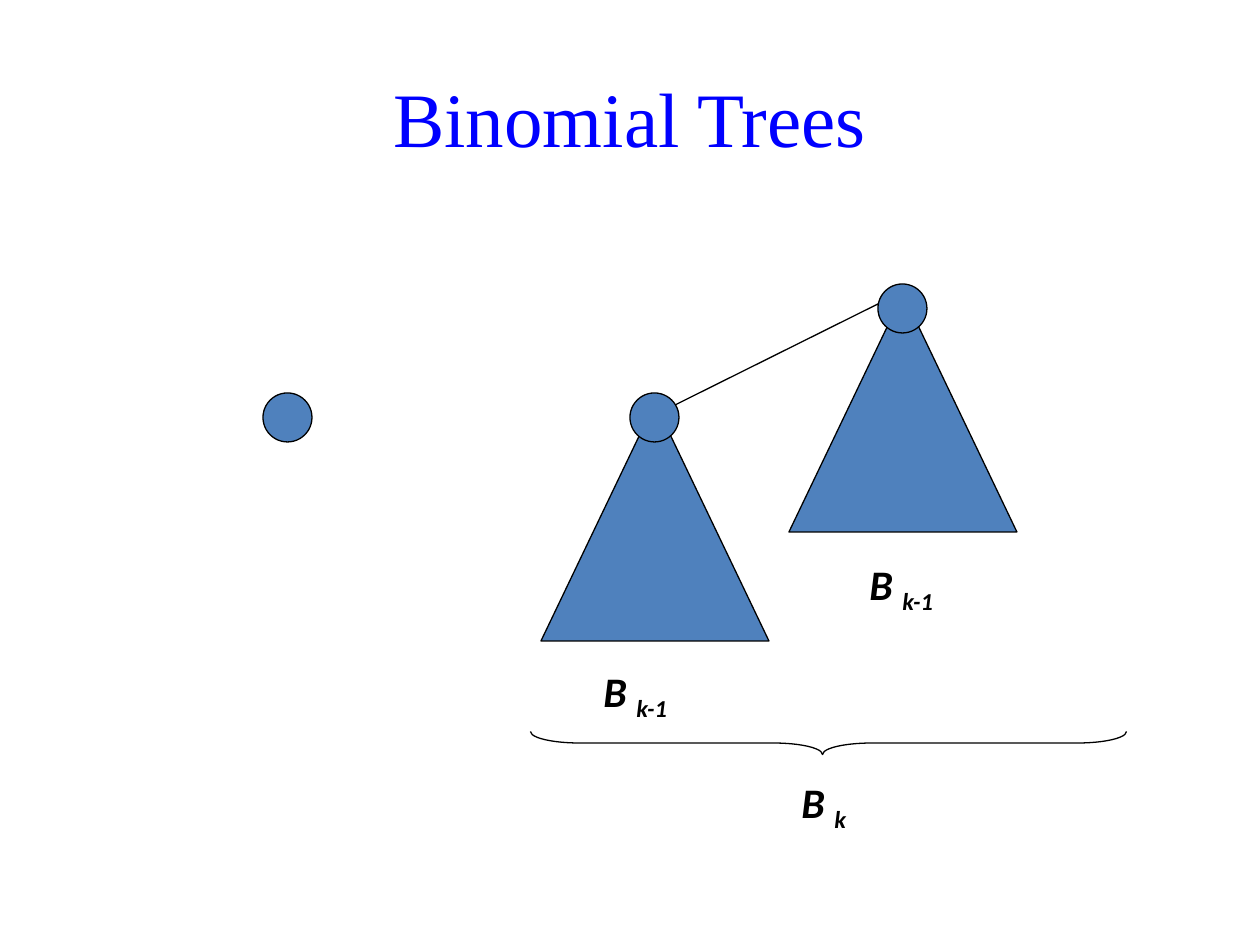
from pptx import Presentation
from pptx import util as u
from pptx.dml.color import RGBColor
from pptx.enum import shapes, text
from pptx.oxml.ns import qn
from lxml import etree

PX_PER_INCH = 126
BLUE = RGBColor(0x4F, 0x81, 0xBD)
TITLE_BLUE = RGBColor(0x00, 0x00, 0xFF)
BLACK = RGBColor(0x00, 0x00, 0x00)

NODE = 49  # node diameter
TREE_WIDTH, TREE_HEIGHT = 228, 238
NODE_DX, NODE_DY = 89, -10  # root node relative to its triangle
TREES = [(541, 403), (789, 294)]


def px(*lengths):
    return [u.Emu(round(length * 914400 / PX_PER_INCH)) for length in lengths]


def outline(item):
    item.line.color.rgb = BLACK
    item.line.width = u.Pt(0.75)


def add_shape(page, kind, box, fill=None):
    shape = page.shapes.add_shape(kind, *px(*box))
    shape.shadow.inherit = False
    if fill is None:
        shape.fill.background()
    else:
        shape.fill.solid()
        shape.fill.fore_color.rgb = fill
    outline(shape)
    return shape


def add_node(page, left, top):
    add_shape(page, shapes.MSO_SHAPE.OVAL, (left, top, NODE, NODE), BLUE)


def add_edge(page, start, end):
    edge = page.shapes.add_connector(shapes.MSO_CONNECTOR.STRAIGHT, *px(*start, *end))
    outline(edge)
    etree.SubElement(edge._element.spPr, qn("a:effectLst"))


def add_label(page, left, top, subscript):
    box = page.shapes.add_textbox(*px(left, top, 102, 64))
    box.text_frame.word_wrap = True
    para = box.text_frame.paragraphs[0]
    for words in ("B ", subscript):
        span = para.add_run()
        span.text = words
        span.font.name = "Calibri"
        span.font.size = u.Pt(24)
        span.font.bold = span.font.italic = True
        span.font.color.rgb = BLACK
    span.font._element.set("baseline", "-25000")


def set_title(page, words):
    title = page.shapes.title
    title.left, title.top, title.width, title.height = px(63, 38, 1134, 157)
    title.text_frame.text = words
    title.text_frame.vertical_anchor = text.MSO_ANCHOR.MIDDLE
    para = title.text_frame.paragraphs[0]
    para.alignment = text.PP_ALIGN.CENTER
    font = para.runs[0].font
    font.name = "Times New Roman"
    font.size = u.Pt(44)
    font.color.rgb = TITLE_BLUE


def main():
    deck = Presentation()
    deck.slide_width, deck.slide_height = u.Inches(10), u.Inches(7.5)
    page = deck.slides.add_slide(deck.slide_layouts[5])
    set_title(page, "Binomial Trees")

    # Two subtrees, joined at their roots
    for left, top in TREES:
        add_shape(page, shapes.MSO_SHAPE.ISOSCELES_TRIANGLE,
                  (left, top, TREE_WIDTH, TREE_HEIGHT), BLUE)
    add_edge(page, (669, 408), (888, 299))
    for left, top in TREES:
        add_node(page, left + NODE_DX, top + NODE_DY)

    # Single-node tree
    add_node(page, 263, 393)

    # Brace below both subtrees
    brace = add_shape(page, shapes.MSO_SHAPE.LEFT_BRACE, (817, 445, 23, 596))
    brace.rotation = 270
    brace.adjustments[0] = 2.14
    brace.adjustments[1] = 0.49

    # Tree names
    for left, top, subscript in [(591, 659, "k-1"), (857, 552, "k-1"), (789, 770, "k")]:
        add_label(page, left, top, subscript)

    deck.save("out.pptx")


if __name__ == "__main__":
    main()
